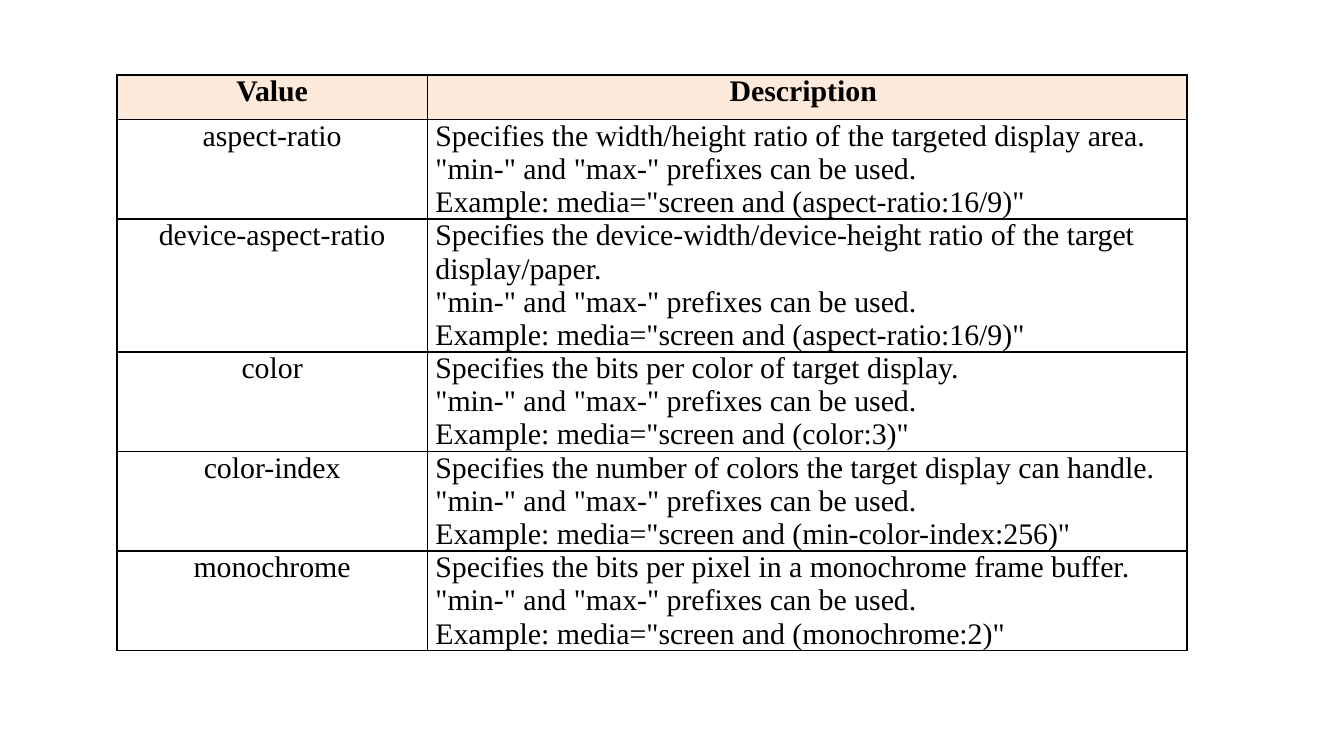
"""Build a slide with a table of CSS media feature values."""
from lxml import etree
from pptx import Presentation
from pptx.dml.color import RGBColor
from pptx.enum.text import PP_ALIGN
from pptx.oxml.ns import qn
from pptx.util import Inches, Pt

CENTER, LEFT = PP_ALIGN.CENTER, PP_ALIGN.LEFT
BLACK = RGBColor(0x00, 0x00, 0x00)
PEACH = RGBColor(0xFD, 0xEA, 0xDA)
FONT = "Times New Roman"
FONT_SIZE = Pt(16)
BORDER_WIDTH = Pt(1)
SIDE_MARGIN = Inches(0.06)

HEADER = ("Value", "Description ")
PREFIXES = '"min-" and "max-" prefixes can be used.'
FEATURES = [
    ("aspect-ratio",
     "Specifies the width/height ratio of the targeted display area.",
     "aspect-ratio:16/9"),
    ("device-aspect-ratio",
     "Specifies the device-width/device-height ratio of the target display/paper.",
     "aspect-ratio:16/9"),
    ("color", "Specifies the bits per color of target display.", "color:3"),
    ("color-index",
     "Specifies the number of colors the target display can handle.",
     "min-color-index:256"),
    ("monochrome",
     "Specifies the bits per pixel in a monochrome frame buffer.",
     "monochrome:2"),
]
COLUMN_WIDTHS = (2.31, 5.65)
ROW_HEIGHTS = (0.33, 0.62, 0.82, 0.62, 0.62, 0.62)
TABLE_LEFT, TABLE_TOP = 0.87, 0.56


def add_borders(cell):
    """Draw a solid line on all four sides of a cell."""
    properties = cell._tc.get_or_add_tcPr()
    for side in ("a:lnL", "a:lnR", "a:lnT", "a:lnB"):
        line = etree.SubElement(properties, qn(side), w=str(BORDER_WIDTH))
        fill = etree.SubElement(line, qn("a:solidFill"))
        etree.SubElement(fill, qn("a:srgbClr"), val=str(BLACK))


def fill_cell(cell, lines, alignment, is_header):
    """Format a cell and write its lines into one paragraph."""
    add_borders(cell)
    if is_header:
        cell.fill.solid()
        cell.fill.fore_color.rgb = PEACH
    else:
        cell.fill.background()
    cell.margin_left = cell.margin_right = SIDE_MARGIN
    cell.margin_top = cell.margin_bottom = 0
    paragraph = cell.text_frame.paragraphs[0]
    paragraph.alignment = alignment
    for index, line in enumerate(lines):
        if index:
            paragraph.add_line_break()
        run = paragraph.add_run()
        run.text = line
        run.font.name = FONT
        run.font.size = FONT_SIZE
        run.font.bold = is_header
        run.font.color.rgb = BLACK


presentation = Presentation()
presentation.slide_width = Inches(10)
presentation.slide_height = presentation.slide_width * 9 // 16
slide = presentation.slides.add_slide(presentation.slide_layouts[6])

rows = [[[title] for title in HEADER]]
for value, meaning, example in FEATURES:
    rows.append([[value], [meaning, PREFIXES,
                           f'Example: media="screen and ({example})"']])

features_table = slide.shapes.add_table(
    len(rows), len(HEADER), Inches(TABLE_LEFT), Inches(TABLE_TOP),
    Inches(sum(COLUMN_WIDTHS)), Inches(sum(ROW_HEIGHTS))).table
features_table.first_row = features_table.horz_banding = False
for column, width in zip(features_table.columns, COLUMN_WIDTHS):
    column.width = Inches(width)
for row, height in zip(features_table.rows, ROW_HEIGHTS):
    row.height = Inches(height)

for row_index, row_content in enumerate(rows):
    for column_index, lines in enumerate(row_content):
        is_header = row_index == 0
        alignment = CENTER if is_header or column_index == 0 else LEFT
        fill_cell(features_table.cell(row_index, column_index),
                  lines, alignment, is_header)

presentation.save("out.pptx")
